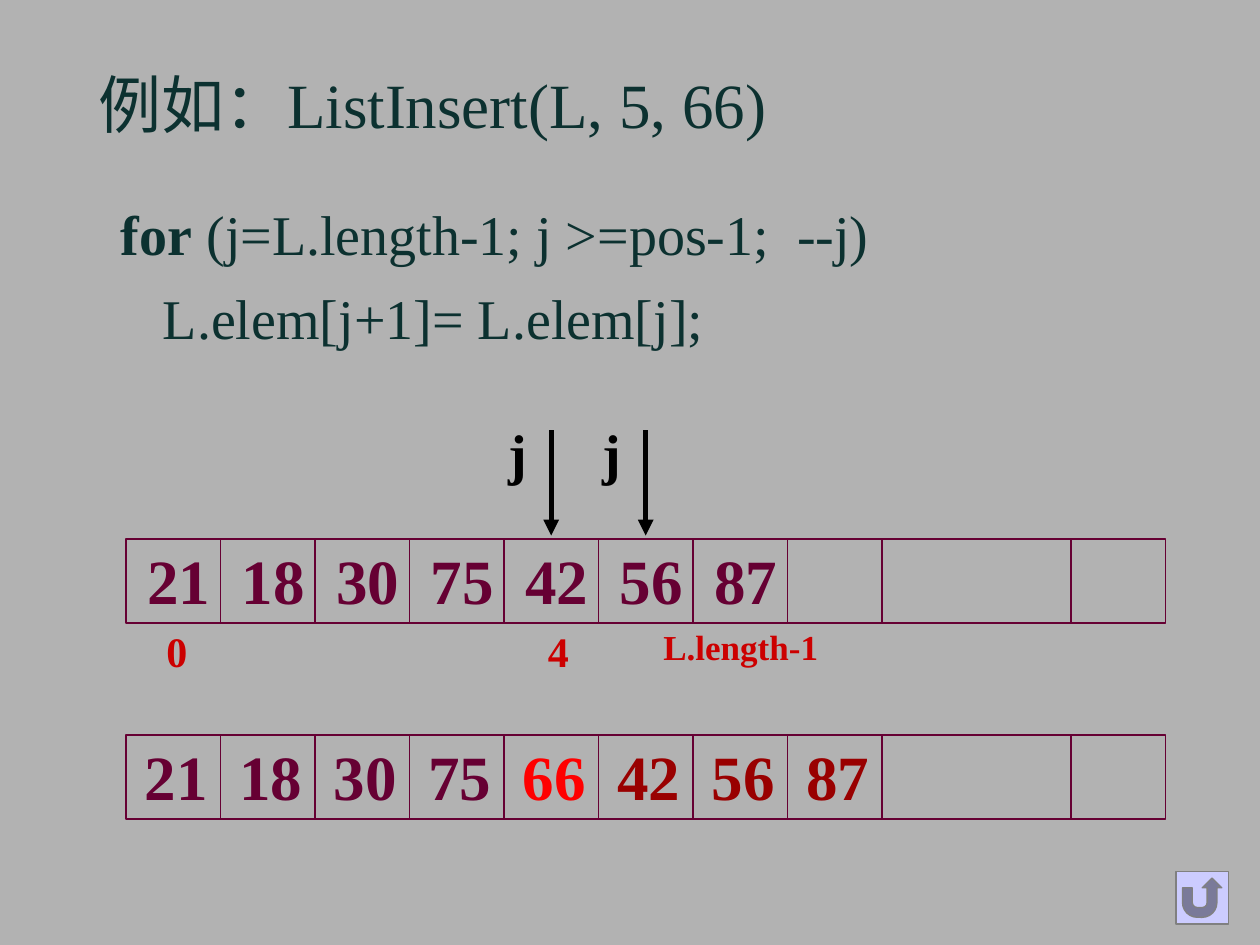
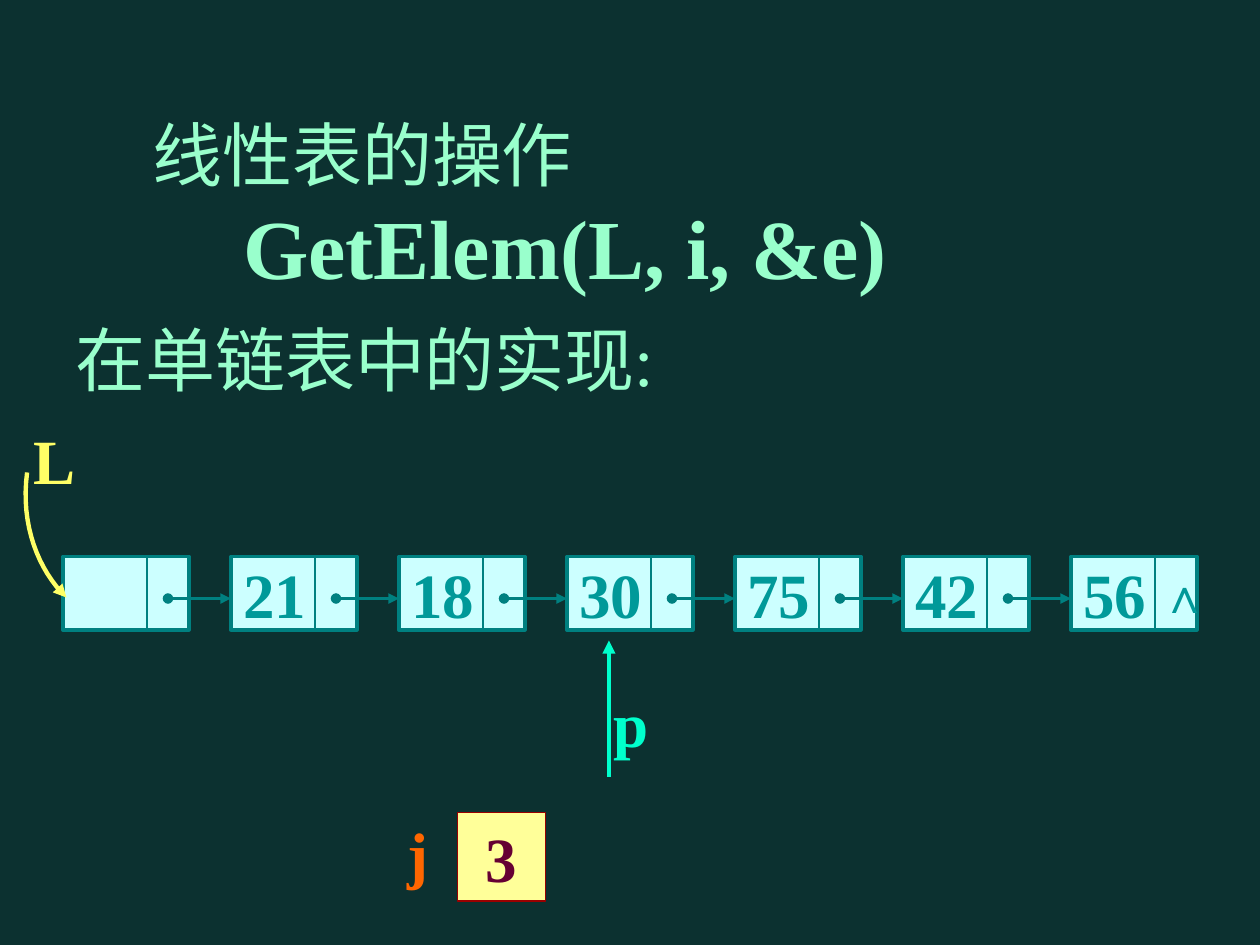
from lxml import etree
from pptx import Presentation
from pptx.dml.color import RGBColor
from pptx.enum.shapes import MSO_CONNECTOR, MSO_SHAPE
from pptx.enum.text import MSO_ANCHOR, MSO_AUTO_SIZE as AUTO, PP_ALIGN
from pptx.oxml.ns import qn
from pptx.util import Pt

# Shared look
FONT = "Times New Roman"
DARK, GREY, BLACK = "0C3130", "B2B2B2", "000000"
PLUM, RED, BRIGHT_RED, MAROON = "660033", "CC0000", "FF0000", "990000"
TEAL, TEAL_TEXT, PALE, MINT = "008080", "009999", "CCFFFF", "99FFCC"
YELLOW, AQUA, ORANGE, CREAM = "FFFF66", "00FFCC", "FF6600", "FFFF99"


def rgb(hex_code):
    return RGBColor.from_string(hex_code)


def new_slide(prs, background):
    s = prs.slides.add_slide(prs.slide_layouts[6])
    fill = s.background.fill
    fill.solid()
    fill.fore_color.rgb = rgb(background)
    return s


def add_run(p, content, size, color, bold=True):
    r = p.add_run()
    r.text = content
    r.font.name, r.font.size, r.font.bold = FONT, Pt(size), bold
    r.font.color.rgb = rgb(color)


def textbox(s, x, y, w, h, wrap=False):
    tf = s.shapes.add_textbox(Pt(x), Pt(y), Pt(w), Pt(h)).text_frame
    tf.word_wrap = wrap
    tf.auto_size = AUTO.SHAPE_TO_FIT_TEXT
    return tf


def label(s, content, x, y, w, h, size, color, bold=True):
    tf = textbox(s, x, y, w, h)
    add_run(tf.paragraphs[0], content, size, color, bold)


def box(s, x, y, w, h, fill, line, width=0.75, kind=MSO_SHAPE.RECTANGLE):
    sp = s.shapes.add_shape(kind, Pt(x), Pt(y), Pt(w), Pt(h))
    sp.shadow.inherit = False
    if fill:
        sp.fill.solid()
        sp.fill.fore_color.rgb = rgb(fill)
    else:
        sp.fill.background()
    sp.line.color.rgb = rgb(line)
    sp.line.width = Pt(width)
    return sp


def box_text(sp, content, size, color, align=PP_ALIGN.LEFT, wrap=False):
    tf = sp.text_frame
    tf.word_wrap = wrap
    tf.vertical_anchor = MSO_ANCHOR.MIDDLE
    p = tf.paragraphs[0]
    p.alignment = align
    add_run(p, content, size, color)


def add_ends(sp, head=None, tail=None):
    ln = sp.line._get_or_add_ln()
    for tag, kind in (("a:headEnd", head), ("a:tailEnd", tail)):
        if kind:
            etree.SubElement(ln, qn(tag)).set("type", kind)


def line(s, x1, y1, x2, y2, color, width=0.75, head=None, tail=None):
    c = s.shapes.add_connector(MSO_CONNECTOR.STRAIGHT, Pt(x1), Pt(y1), Pt(x2), Pt(y2))
    c.line.color.rgb = rgb(color)
    c.line.width = Pt(width)
    add_ends(c, head, tail)
    etree.SubElement(c._element.spPr, qn("a:effectLst"))


def curved_arrow(s, points, color, width, steps=16):
    """Cubic curve through four control points, with an arrowhead at its end."""
    def at(t):
        weights = ((1 - t) ** 3, 3 * t * (1 - t) ** 2, 3 * t * t * (1 - t), t ** 3)
        return [Pt(sum(w * p[axis] for w, p in zip(weights, points))) for axis in (0, 1)]

    builder = s.shapes.build_freeform(*at(0), scale=1.0)
    builder.add_line_segments([at(i / steps) for i in range(1, steps + 1)], close=False)
    sp = builder.convert_to_shape()
    sp.shadow.inherit = False
    sp.fill.background()
    sp.line.color.rgb = rgb(color)
    sp.line.width = Pt(width)
    add_ends(sp, tail="triangle")


# Sequential list: one row of cells
ROW_X, CELL, ROW_W, ROW_H = 72, 54, 594, 48


def array_row(s, y, offset, values):
    box(s, ROW_X, y, ROW_W, ROW_H, None, PLUM)
    for i in (1, 2, 3, 4, 5, 6, 7, 8, 10):
        x = ROW_X + i * CELL
        line(s, x, y, x, y + ROW_H, PLUM)
    for i, (value, color) in enumerate(values):
        label(s, value, ROW_X + offset + i * CELL, y - 2, 50.4, 50.4, 36, color)


def index_arrow(s, cell):
    x = ROW_X + (cell + 0.5) * CELL - 3 + 3
    line(s, x, 246, x, 306, BLACK, 3, tail="triangle")
    label(s, "j", x - 31.5, 235.5, 25, 46, 32, BLACK)


# Linked list: a node with a data part and a pointer part
NODE_X, NODE_Y, NODE_W, NODE_H, PITCH = 36, 318, 72, 42, 96
LINK_Y = 342


def list_node(s, i, value):
    x = NODE_X + i * PITCH
    sp = box(s, x, NODE_Y, NODE_W, NODE_H, PALE, TEAL, 2)
    if value:
        box_text(sp, value, 36, TEAL_TEXT)
    line(s, x + 48, NODE_Y, x + 48, NODE_Y + NODE_H, TEAL)


def list_link(s, i):
    x = NODE_X + i * PITCH
    line(s, x + 60, LINK_Y, x + PITCH, LINK_Y, TEAL, 2, "oval", "triangle")


def insert_slide(prs):
    s = new_slide(prs, GREY)
    label(s, "例如：ListInsert(L, 5, 66)", 49, 34, 414, 50.4, 36, DARK, False)

    # Loop that moves the elements
    tf = textbox(s, 62, 101, 458, 104)
    loop, body = tf.paragraphs[0], tf.add_paragraph()
    loop.line_spacing = body.line_spacing = 1.25
    add_run(loop, "for", 32, DARK)
    add_run(loop, " (j=L.length-1; j >=pos-1;  --j)", 32, DARK, False)
    add_run(body, "   L.elem[j+1]= L.elem[j];", 32, DARK, False)

    # List before and after the insertion
    head, moved = ["21", "18", "30", "75"], ["42", "56", "87"]
    array_row(s, 308, 5, [(v, PLUM) for v in head + moved])
    array_row(s, 420, 3.6, [(v, PLUM) for v in head] + [("66", BRIGHT_RED)]
              + [(v, MAROON) for v in moved])

    # Indexes
    for cell in (4, 5):
        index_arrow(s, cell)
    label(s, "0", 88, 354, 26, 36, 24, RED)
    label(s, "4", 306, 354, 26, 36, 24, RED)
    label(s, "L.length-1", 372, 354, 103, 32, 20, RED)

    box(s, 672, 498, 30, 30, "CCCCFF", "808080", kind=MSO_SHAPE.ACTION_BUTTON_RETURN)


def get_elem_slide(prs):
    s = new_slide(prs, DARK)

    # Heading
    tf = textbox(s, 36, 60, 498, 183, wrap=True)
    heading = [("线性表的操作", 40, False, 44, 1), ("GetElem(L, i, &e)", 48, True, 96, 1),
               ("在单链表中的实现:", 40, False, 0, 1.25)]
    for i, (content, size, bold, indent, spacing) in enumerate(heading):
        p = tf.add_paragraph() if i else tf.paragraphs[0]
        p.line_spacing = spacing
        pPr = p._p.get_or_add_pPr()
        pPr.set("marL", str(Pt(indent)))
        pPr.set("indent", "0")
        add_run(p, content, size, MINT, bold)

    # Chain of nodes
    values = ["", "21", "18", "30", "75", "42", "56"]
    for i, value in enumerate(values):
        list_node(s, i, value)
    for i in range(len(values) - 1):
        list_link(s, i)
    label(s, "∧", 656, 319, 37, 41, 28, TEAL_TEXT)

    # Pointers L and p
    label(s, "L", 12, 237.5, 38, 50.4, 36, YELLOW)
    curved_arrow(s, [(15.5, 270), (11.5, 300), (22, 326), (38, 341.5)], YELLOW, 2.5)
    line(s, 348, 444, 348, 366, AQUA, 2.5, tail="triangle")
    label(s, "p", 343.5, 387.5, 34.5, 50.4, 36, AQUA)

    # Counter j
    label(s, "j", 225.5, 462, 26, 50.4, 36, ORANGE)
    counter = box(s, 261.5, 464.5, 50.4, 50.4, CREAM, MAROON)
    box_text(counter, "3", 36, PLUM, PP_ALIGN.CENTER, wrap=True)


def main():
    prs = Presentation()
    prs.slide_width, prs.slide_height = Pt(720), Pt(540)
    insert_slide(prs)
    get_elem_slide(prs)
    prs.save("out.pptx")


if __name__ == "__main__":
    main()
